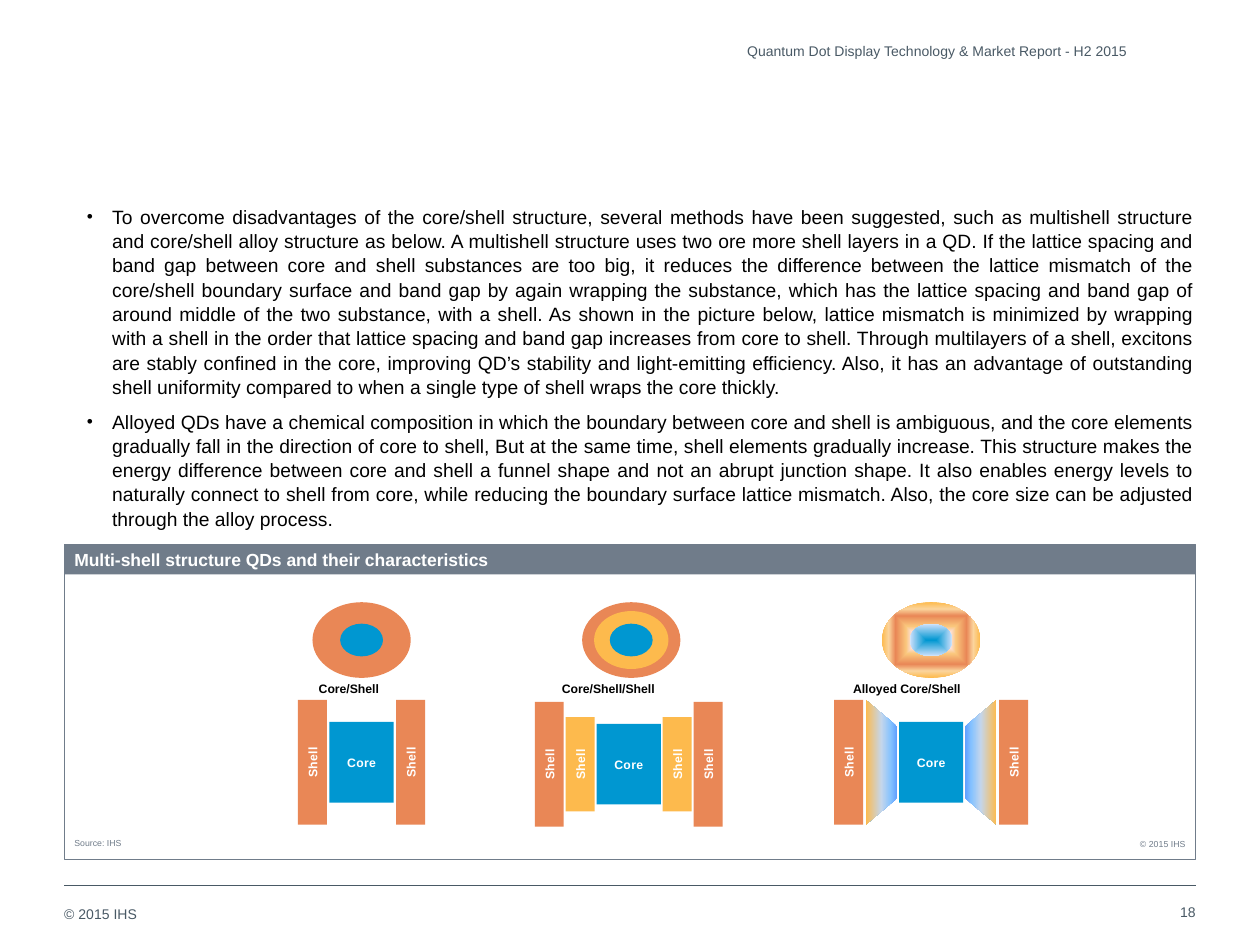
import pptx
import pptx.util
import pptx.dml.color
import pptx.enum.shapes
import pptx.enum.text
import pptx.oxml
import pptx.oxml.ns
import lxml.etree

COLORS = {"slate": "495965", "gray": "707C8A", "orange": "E98756", "yellow": "FDBA4D",
          "blue": "0097D1", "black": "000000", "white": "FFFFFF"}
CENTER_PATH = ('<a:path path="rect"><a:fillToRect l="50000" t="50000" '
               'r="50000" b="50000"/></a:path>')
DOWN = '<a:lin ang="5400000" scaled="0"/>'
GRADIENTS = {
    "alloy shell": (CENTER_PATH, [(0, "FBEAC7"), (18, "FEE7F2"), (36, "FAC77D"),
                                  (64, "E98756"), (82, "FBD49C"), (100, "FDBA4D")]),
    "alloy core": (CENTER_PATH, [(0, "0097D1"), (89, "BAD9F8"), (100, "DDECFB")]),
    "funnel": (DOWN, [(0, "5E9EFF"), (20, "85C2FF"), (50, "C4D6EB"), (100, "FDBA4D")]),
}
SHAPE = pptx.enum.shapes.MSO_SHAPE
ALIGN = pptx.enum.text.PP_ALIGN
ANCHOR = pptx.enum.text.MSO_ANCHOR
RGB = pptx.dml.color.RGBColor.from_string
Pt = pptx.util.Pt

prs = pptx.Presentation()
prs.slide_width = pptx.util.Inches(10)
prs.slide_height = pptx.util.Inches(7.5)
s = prs.slides.add_slide(prs.slide_layouts[6])
COL = prs.slide_width / 100
ROW = prs.slide_height / 75


def write(sp, text, size, color, bold=False, align=ALIGN.LEFT, anchor=ANCHOR.TOP,
          insets=(0, 0, 0, 0)):
    tf = sp.text_frame
    tf.word_wrap = True
    tf.vertical_anchor = anchor
    tf.margin_left, tf.margin_top, tf.margin_right, tf.margin_bottom = [
        int(i * COL) for i in insets]
    tf.text = text
    for p in tf.paragraphs:
        p.alignment = align
        for r in p.runs:
            r.font.name = "Arial"
            r.font.size = Pt(size)
            r.font.bold = bold
            r.font.color.rgb = RGB(COLORS[color])
    return tf


def block(kind, cx, cy, w, h, fill, text="", rotation=0):
    sp = s.shapes.add_shape(kind, int((cx - w / 2) * COL), int((cy - h / 2) * ROW),
                            int(w * COL), int(h * ROW))
    sp.shadow.inherit = False
    sp.rotation = rotation
    sp.line.fill.background()
    if fill in GRADIENTS:
        direction, stops = GRADIENTS[fill]
        gs = "".join(f'<a:gs pos="{pos * 1000}"><a:srgbClr val="{rgb}"/></a:gs>'
                     for pos, rgb in stops)
        sp.fill.background()
        old = sp._element.spPr.find(pptx.oxml.ns.qn("a:noFill"))
        sp._element.spPr.replace(old, pptx.oxml.parse_xml(
            f'<a:gradFill {pptx.oxml.ns.nsdecls("a")} rotWithShape="1">'
            f'<a:gsLst>{gs}</a:gsLst>{direction}</a:gradFill>'))
    else:
        sp.fill.solid()
        sp.fill.fore_color.rgb = RGB(COLORS[fill])
    if text:
        tf = write(sp, text, 7, "white", True, ALIGN.CENTER, ANCHOR.MIDDLE)
        tf.paragraphs[0].runs[0].font._element.set("spc", "20")
    return sp


rule = s.shapes.add_connector(pptx.enum.shapes.MSO_CONNECTOR.STRAIGHT, int(5.1 * COL),
                              int(70.3 * ROW), int(94.9 * COL), int(70.3 * ROW))
rule.line.color.rgb = RGB(COLORS["slate"])
rule.line.width = Pt(0.5)
lxml.etree.SubElement(rule._element.spPr, pptx.oxml.ns.qn("a:effectLst"))

multishell = " ".join([
    "To overcome disadvantages of the core/shell structure, several methods have been suggested, such as multishell structure and core/shell alloy structure as below.",
    "A multishell structure uses two ore more shell layers in a QD.",
    "If the lattice spacing and band gap between core and shell substances are too big, it reduces the difference between the lattice mismatch of the core/shell boundary surface and band gap by again wrapping the substance, which has the lattice spacing and band gap of around middle of the two substance, with a shell.",
    "As shown in the picture below, lattice mismatch is minimized by wrapping with a shell in the order that lattice spacing and band gap increases from core to shell.",
    "Through multilayers of a shell, excitons are stably confined in the core, improving QD’s stability and light-emitting efficiency.",
    "Also, it has an advantage of outstanding shell uniformity compared to when a single type of shell wraps the core thickly.",
])
alloyed = " ".join([
    "Alloyed QDs have a chemical composition in which the boundary between core and shell is ambiguous, and the core elements gradually fall in the direction of core to shell, But at the same time, shell elements gradually increase.",
    "This structure makes the energy difference between core and shell a funnel shape and not an abrupt junction shape.",
    "It also enables energy levels to naturally connect to shell from core, while reducing the boundary surface lattice mismatch.",
    "Also, the core size can be adjusted through the alloy process.",
])
sp = s.shapes.add_textbox(int(5 * COL), int(16.2 * ROW), int(89.8 * COL), int(24.4 * ROW))
tf = write(sp, multishell + "\n" + alloyed, 11, "black", align=ALIGN.JUSTIFY)
for p in tf.paragraphs:
    p.line_spacing = 1.05
    p.space_after = Pt(6)
    pPr = p._p.get_or_add_pPr()
    pPr.set("marL", str(int(3.9 * COL)))
    pPr.set("indent", str(int(-2 * COL)))
    lxml.etree.SubElement(pPr, pptx.oxml.ns.qn("a:buSzPct")).set("val", "90000")
    lxml.etree.SubElement(pPr, pptx.oxml.ns.qn("a:buFont")).set("typeface", "Arial")
    lxml.etree.SubElement(pPr, pptx.oxml.ns.qn("a:buChar")).set("char", "•")

header = block(SHAPE.RECTANGLE, 50, 44.4, 89.8, 2.4, "gray")
write(header, "Multi-shell structure QDs and their characteristics", 10, "white", True,
      anchor=ANCHOR.MIDDLE, insets=(0.8, 0.4, 0.8, 0.4))
frame = block(SHAPE.RECTANGLE, 50, 55.7, 89.8, 25, "white")
frame.fill.background()
frame.line.color.rgb = RGB(COLORS["gray"])
frame.line.width = Pt(0.5)

dots = [
    (28.7, [(7.8, 6, "orange"), (3.4, 2.6, "blue")]),
    (50.1, [(7.8, 6, "orange"), (5.9, 4.6, "yellow"), (3.4, 2.6, "blue")]),
    (73.9, [(7.8, 6, "alloy shell"), (3.4, 2.6, "alloy core")]),
]
for cx, layers in dots:
    for w, h, fill in layers:
        block(SHAPE.OVAL, cx, 50.8, w, h, fill)

bands = [
    (28.7, 60.5, [(3.9, 9.9, "orange")]),
    (49.9, 60.65, [(6.3, 9.9, "orange"), (3.85, 7.5, "yellow")]),
    (73.9, 60.5, [(6.55, 9.9, "orange")]),
]
for cx, cy, shells in bands:
    block(SHAPE.RECTANGLE, cx, cy, 5.1, 6.4, "blue", "Core")
    for offset, length, fill in shells:
        for side in (-1, 1):
            block(SHAPE.RECTANGLE, cx + side * offset, cy, length, 2.3, fill, "Shell", 270)

for side, rotation in ((-1, 90), (1, 270)):
    funnel = block(SHAPE.TRAPEZOID, 73.9 + side * 3.95, 60.5, 9.9, 2.5, "funnel",
                   rotation=rotation)
    funnel.adjustments[0] = 0.84

pad = (0.8, 0.5, 0.8, 0.5)
labels = [
    (24.5, 53.6, 8.7, 2, "Core/Shell", 7, "black", True, ALIGN.LEFT, ANCHOR.TOP, pad),
    (43.8, 53.6, 12.5, 2, "Core/Shell/Shell", 7, "black", True, ALIGN.LEFT, ANCHOR.TOP, pad),
    (66.9, 53.6, 14.2, 2, "Alloyed Core/Shell", 7, "black", True, ALIGN.LEFT, ANCHOR.TOP, pad),
    (5.1, 64.1, 55.9, 4, "Source: IHS", 5, "gray", False, ALIGN.LEFT, ANCHOR.BOTTOM,
     (0.8, 0, 0, 0.8)),
    (80.2, 65, 14.7, 3.2, "© 2015 IHS", 5, "gray", False, ALIGN.RIGHT, ANCHOR.BOTTOM,
     (0, 0, 0.8, 0.8)),
    (5.1, 71.9, 8, 1.3, "© 2015 IHS", 8, "slate"),
    (88.6, 71.2, 6.3, 2.4, "18", 8, "slate", False, ALIGN.RIGHT, ANCHOR.MIDDLE),
    (5.1, 3, 84.4, 2.1, "Quantum Dot Display Technology & Market Report - H2 2015", 8,
     "slate", False, ALIGN.RIGHT, ANCHOR.MIDDLE),
]
for x, y, w, h, *style in labels:
    sp = s.shapes.add_textbox(int(x * COL), int(y * ROW), int(w * COL), int(h * ROW))
    write(sp, *style)

prs.save("out.pptx")
